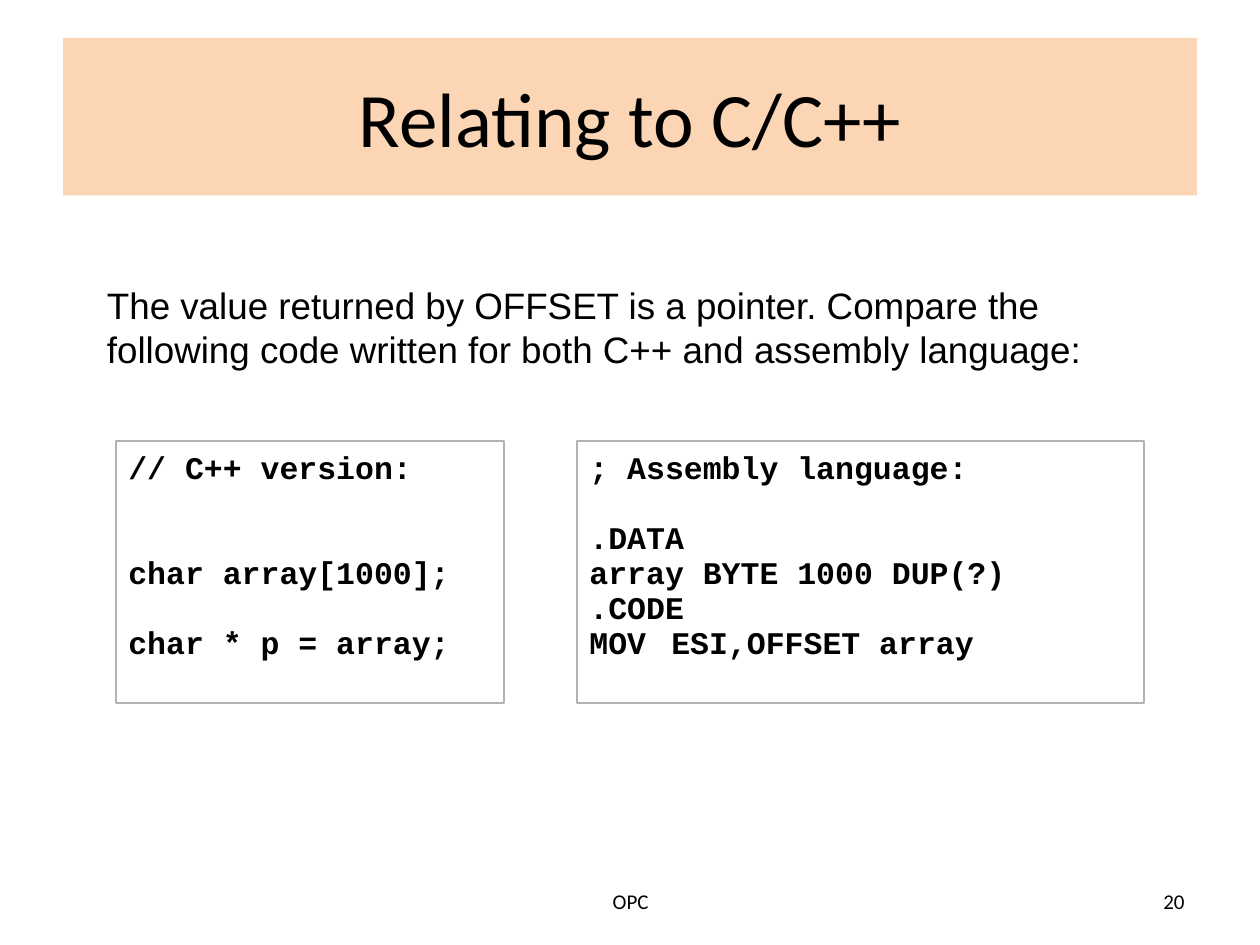
from lxml import etree
from pptx import Presentation
from pptx import util as u
from pptx.dml.color import RGBColor
from pptx.enum import shapes, text
from pptx.oxml.ns import qn

PEACH = RGBColor(0xFC, 0xD5, 0xB5)
GRAY = RGBColor(0xB2, 0xB2, 0xB2)
BLACK = RGBColor(0, 0, 0)
ALIGN = text.PP_ALIGN
ANCHOR = text.MSO_ANCHOR

TITLE = "Relating to C/C++"
INTRO = (
    "The value returned by OFFSET is a pointer. Compare the following "
    "code written for both C++ and assembly language:"
)
CODE_LINE = 20
CODE_TOP, CODE_HEIGHT = 3.5, 2.08
CODE_PANELS = [
    (0.92, 3.08, "// C++ version:\n\n\nchar array[1000];\n\nchar * p = array;"),
    (4.58, 4.5, "; Assembly language:\n\n.DATA\narray BYTE 1000 DUP(?)\n.CODE\nMOV\t ESI,OFFSET array"),
]
FOOTERS = [
    (3.42, 3.17, "OPC", ALIGN.CENTER),
    (7.17, 2.33, "20", ALIGN.RIGHT),
]


def inches(*values):
    return [u.Inches(value) for value in values]


def format_paragraph(paragraph, font_name, size, alignment=ALIGN.LEFT, bold=False):
    paragraph.alignment = alignment
    for run in paragraph.runs:
        run.font.name = font_name
        run.font.size = u.Pt(size)
        run.font.bold = bold
        run.font.color.rgb = BLACK


def prepare_frame(shape, anchor, top=0.05, bottom=0.05):
    frame = shape.text_frame
    frame.word_wrap = True
    frame.vertical_anchor = anchor
    frame.margin_left, frame.margin_right = inches(0.1, 0.1)
    frame.margin_top, frame.margin_bottom = inches(top, bottom)
    return frame


def add_tab_stop(paragraph, position):
    tabs = etree.SubElement(paragraph._p.get_or_add_pPr(), qn("a:tabLst"))
    etree.SubElement(tabs, qn("a:tab"), pos=str(u.Inches(position)), algn="l")


def add_title(slide):
    title = slide.shapes.title
    title.left, title.top, title.width, title.height = inches(0.5, 0.3, 9, 1.25)
    title.fill.solid()
    title.fill.fore_color.rgb = PEACH
    frame = prepare_frame(title, ANCHOR.MIDDLE)
    frame.text = TITLE
    format_paragraph(frame.paragraphs[0], "Calibri", 44, ALIGN.CENTER)


def add_intro(slide):
    box = slide.shapes.add_textbox(*inches(0.75, 2.08, 8.42, 1))
    frame = prepare_frame(box, ANCHOR.TOP, 0.17, 0.15)
    frame.text = INTRO
    frame.paragraphs[0].line_spacing = u.Pt(25)
    format_paragraph(frame.paragraphs[0], "Arial", 21)


def add_code_panel(slide, left, width, code):
    panel = slide.shapes.add_shape(
        shapes.MSO_SHAPE.RECTANGLE, *inches(left, CODE_TOP, width, CODE_HEIGHT)
    )
    panel.shadow.inherit = False
    panel.fill.background()
    panel.line.color.rgb = GRAY
    panel.line.width = u.Pt(0.75)
    frame = prepare_frame(panel, ANCHOR.TOP, 0.08, 0.25)
    paragraph, skipped = frame.paragraphs[0], 0
    for line in code.split("\n"):
        if not line:
            skipped += 1
            continue
        if paragraph.text:
            paragraph = frame.add_paragraph()
        paragraph.text = line
        add_tab_stop(paragraph, 0.5)
        paragraph.line_spacing = u.Pt(CODE_LINE)
        paragraph.space_before = u.Pt(CODE_LINE * skipped)
        format_paragraph(paragraph, "Courier New", 18, bold=True)
        skipped = 0


def add_footer(slide, left, width, label, alignment):
    box = slide.shapes.add_textbox(*inches(left, 6.95, width, 0.4))
    frame = prepare_frame(box, ANCHOR.MIDDLE)
    frame.text = label
    format_paragraph(frame.paragraphs[0], "Calibri", 12, alignment)


def main():
    presentation = Presentation()
    presentation.slide_width, presentation.slide_height = inches(10, 7.5)
    slide = presentation.slides.add_slide(presentation.slide_layouts[5])
    add_title(slide)
    add_intro(slide)
    for panel in CODE_PANELS:
        add_code_panel(slide, *panel)
    for footer in FOOTERS:
        add_footer(slide, *footer)
    presentation.save("out.pptx")


if __name__ == "__main__":
    main()
